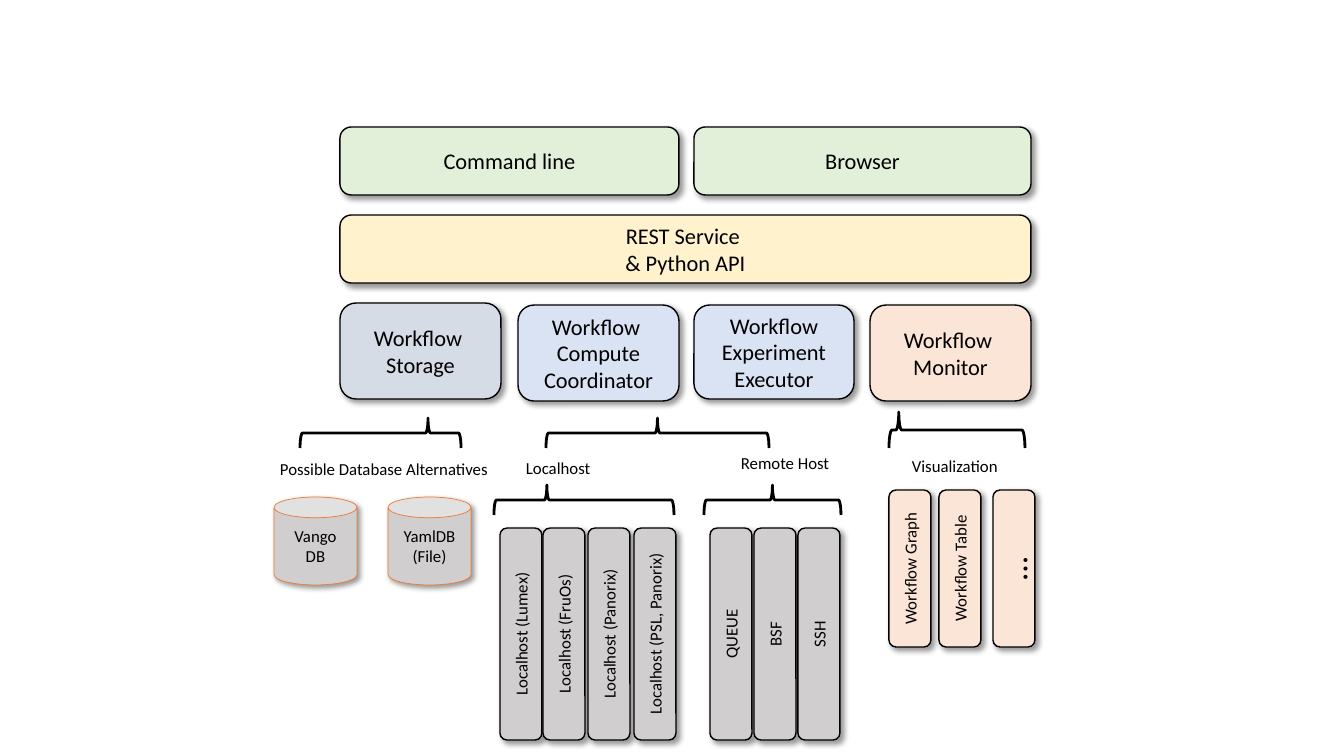
from lxml.etree import SubElement
from pptx import Presentation
from pptx.dml.color import RGBColor
from pptx.enum.shapes import MSO_SHAPE
from pptx.enum.text import MSO_ANCHOR, PP_ALIGN
from pptx.oxml.ns import qn
from pptx.util import Pt

EMU_PER_PIXEL = 914400 / 100.8
COLOURS = {
    "black": "000000", "green": "E2F0D9", "yellow": "FFF2CC",
    "slate": "D6DCE5", "blue": "DAE3F3", "peach": "FBE5D6",
    "grey": "D0CECE", "orange": "ED7D31",
}

# Layers: text, fill, (left, top, width, height)
LAYERS = [
    ("Command line", "green", (340, 127, 339, 68)),
    ("Browser", "green", (694, 127, 337, 68)),
    ("REST Service \n& Python API", "yellow", (340, 215, 691, 68)),
    ("Workflow \nStorage", "slate", (340, 303, 161, 96)),
    ("Workflow \nCompute Coordinator", "blue", (518, 305, 161, 96)),
    ("Workflow Experiment Executor", "blue", (694, 305, 160, 94)),
    ("Workflow \nMonitor", "peach", (870, 305, 161, 96)),
]

# Braces: (left, top, width, height), place of the tip along the width
BRACES = [
    ((300, 418, 161, 30), 0.795),
    ((546, 418, 223, 30), 0.5),
    ((494, 485, 180, 30), 0.294),
    ((704, 485, 137, 30), 0.5),
    ((889, 412, 136, 36), 0.072),
]

# Captions: text, (left, top, width, height), wrapping
CAPTIONS = [
    ("Possible Database Alternatives", (270, 454, 231, 30), False),
    ("Localhost", (516, 453, 86, 30), False),
    ("Remote Host", (731, 448, 110, 30), False),
    ("Visualization", (902, 451, 157, 30), True),
]

# Databases: text, left
DATABASES = [("Vango\nDB", 274), ("YamlDB\n(File)", 388)]
DATABASE_TOP, DATABASE_WIDTH, DATABASE_HEIGHT = 497, 83, 88

# Upright bars: fill, top, height, (text, left, size) of each bar
BAR_WIDTH = 42
BAR_GROUPS = [
    ("grey", 528, 212, [
        ("Localhost (Lumex)", 500, 12), ("Localhost (FruOs)", 543, 12),
        ("Localhost (Panorix)", 588, 12),
        ("Localhost (PSL, Panorix)", 634, 12)]),
    ("grey", 528, 212, [
        ("QUEUE", 710, 12), ("BSF", 754, 12), ("SSH", 798, 12)]),
    ("peach", 490, 157, [
        ("Workflow Graph", 889, 12), ("Workflow Table", 939, 12),
        ("…", 993, 24)]),
]


def emu(pixels):
    return round(pixels * EMU_PER_PIXEL)


def colour(name):
    return RGBColor.from_string(COLOURS[name])


def write(box, text, size=12, align=PP_ALIGN.CENTER,
          anchor=MSO_ANCHOR.MIDDLE, wrap=True):
    frame = box.text_frame
    frame.word_wrap = wrap
    frame.vertical_anchor = anchor
    for index, line in enumerate(text.split("\n")):
        para = frame.add_paragraph() if index else frame.paragraphs[0]
        para.alignment = align
        span = para.add_run()
        span.text = line
        span.font.name = "Calibri"
        span.font.size = Pt(size)
        span.font.color.rgb = colour("black")


def draw(kind, place, fill=None, line="black", weight=1, upright=False):
    """Place a shape; an upright one is turned a quarter to the left."""
    left, top, width, height = place
    if upright:
        left, top = left + (width - height) / 2, top + (height - width) / 2
        width, height = height, width
    box = page.shapes.add_shape(kind, *map(emu, (left, top, width, height)))
    box.rotation = 270 if upright else 0
    box.line.color.rgb = colour(line)
    box.line.width = Pt(weight)
    box.shadow.inherit = False
    if fill:
        box.fill.solid()
        box.fill.fore_color.rgb = colour(fill)
        cast_shadow(box)
    else:
        box.fill.background()
    return box


def cast_shadow(box):
    effects = box.element.spPr.find(qn("a:effectLst"))
    shadow = SubElement(effects, qn("a:outerShdw"), blurRad=str(Pt(4)),
                        dist=str(Pt(3)), dir="2700000", algn="tl",
                        rotWithShape="0")
    tint = SubElement(shadow, qn("a:srgbClr"), val=COLOURS["black"])
    SubElement(tint, qn("a:alpha"), val="40000")


deck = Presentation()
deck.slide_width, deck.slide_height = emu(1344), emu(756)
page = deck.slides.add_slide(deck.slide_layouts[6])

# Service layers
for text, fill, place in LAYERS:
    write(draw(MSO_SHAPE.ROUNDED_RECTANGLE, place, fill), text, size=16)

# Braces
for place, tip in BRACES:
    brace = draw(MSO_SHAPE.RIGHT_BRACE, place, weight=2, upright=True)
    brace.adjustments[1] = tip

# Captions
for text, place, wrap in CAPTIONS:
    caption = page.shapes.add_textbox(*map(emu, place))
    write(caption, text, align=PP_ALIGN.LEFT, anchor=MSO_ANCHOR.TOP, wrap=wrap)

# Databases
for text, left in DATABASES:
    place = (left, DATABASE_TOP, DATABASE_WIDTH, DATABASE_HEIGHT)
    write(draw(MSO_SHAPE.CAN, place, "grey", "orange", 0.5), text)

# Hosts and views
for fill, top, height, bars in BAR_GROUPS:
    for text, left, size in bars:
        bar = draw(MSO_SHAPE.ROUNDED_RECTANGLE,
                   (left, top, BAR_WIDTH, height), fill, upright=True)
        write(bar, text, size=size)

deck.save("out.pptx")
